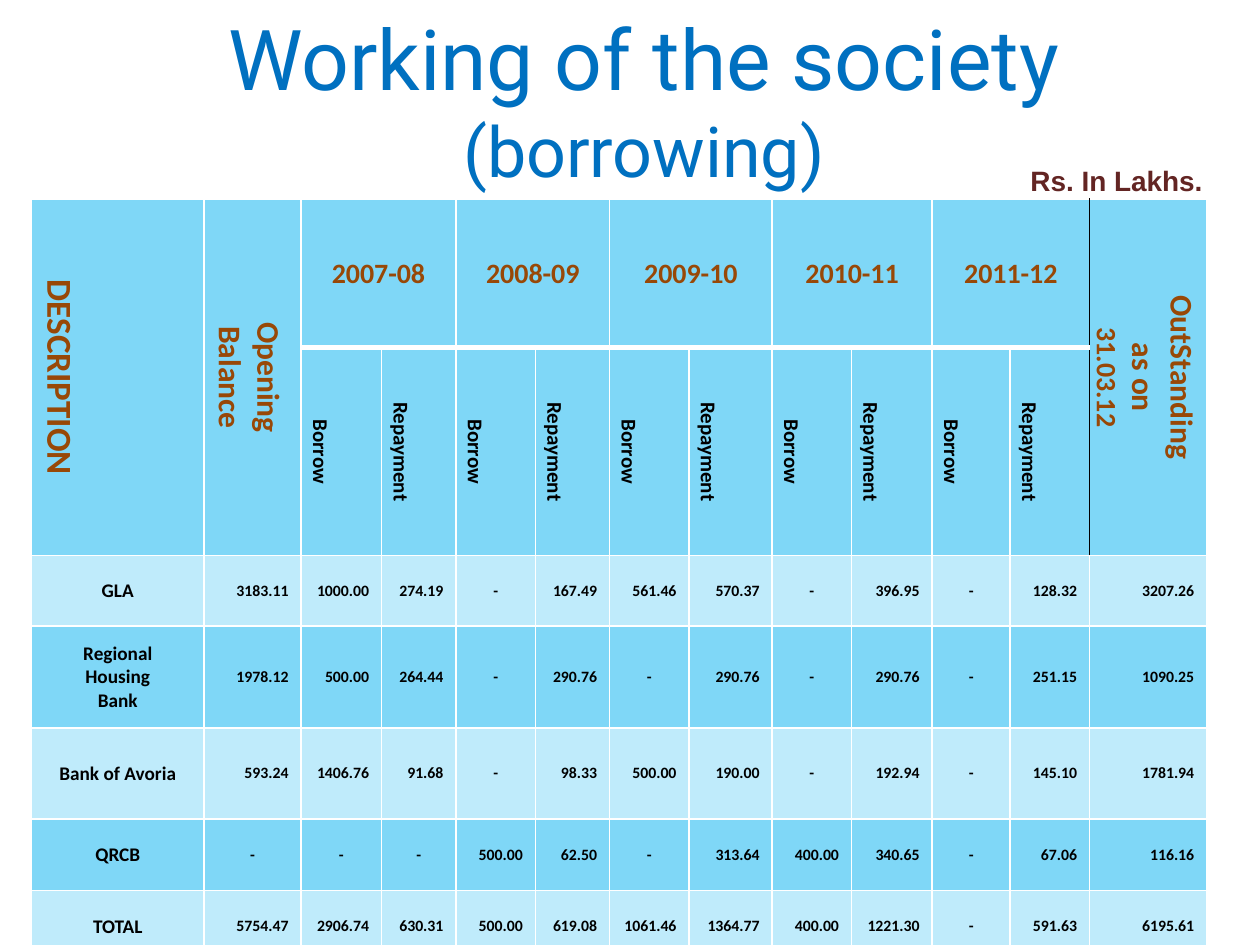
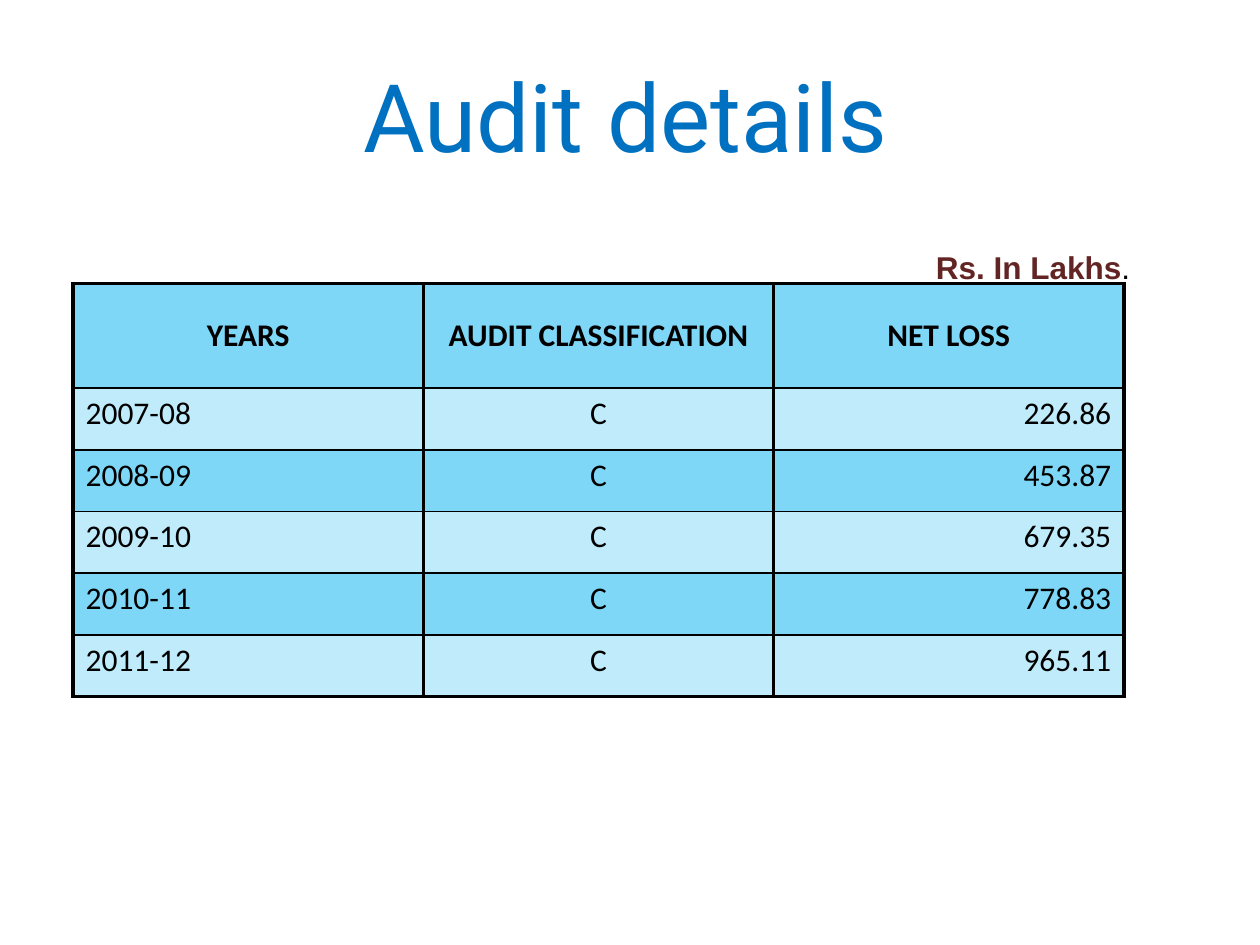
from lxml import etree
from pptx import Presentation
from pptx.dml.color import RGBColor
from pptx.enum.text import MSO_ANCHOR, PP_ALIGN
from pptx.oxml.ns import qn
from pptx.util import Inches, Pt

LEFT, CENTER, RIGHT = PP_ALIGN.LEFT, PP_ALIGN.CENTER, PP_ALIGN.RIGHT
TOP, MIDDLE = MSO_ANCHOR.TOP, MSO_ANCHOR.MIDDLE
TITLE_ONLY = 5

COLORS = {
    "title": "0070C0",
    "unit": "632523",
    "heading": "984807",
    "text": "000000",
    "band": "00B0F0",
    "white": "FFFFFF",
}
TITLE_FONT, UNIT_FONT, TABLE_FONT = "Roboto", "Arial", "Calibri"
DARK, LIGHT = 50, 25  # opacity of the band colour, percent


class Deck:
    def __init__(self):
        self.prs = Presentation()
        self.prs.slide_width, self.prs.slide_height = Inches(10), Inches(7.5)
        self.slide = None

    def add_slide(self):
        self.slide = self.prs.slides.add_slide(self.prs.slide_layouts[TITLE_ONLY])

    def style(self, font, name, size, color, bold=False):
        font.name, font.size, font.bold = name, Pt(size), bold
        font.color.rgb = RGBColor.from_string(COLORS[color])

    def set_lines(self, frame, lines, name, sizes, color, bold=False, align=CENTER):
        """Fill a text frame with one paragraph per line."""
        frame.text = "\n".join(lines)
        for paragraph, size in zip(frame.paragraphs, sizes):
            paragraph.alignment = align
            self.style(paragraph.font, name, size, color, bold)

    def place(self, shape, box):
        shape.left, shape.top, shape.width, shape.height = map(Inches, box)

    def title(self, box, lines, sizes):
        title = self.slide.shapes.title
        self.place(title, box)
        self.set_lines(title.text_frame, lines, TITLE_FONT, sizes, "title")
        title.text_frame.vertical_anchor = TOP
        title.text_frame.word_wrap = False

    def unit_note(self, box, text, size, ending=""):
        frame = self.slide.shapes.add_textbox(*map(Inches, box)).text_frame
        frame.word_wrap = False
        self.set_lines(frame, [text], UNIT_FONT, [size], "unit", True, LEFT)
        if ending:
            run = frame.paragraphs[0].add_run()
            run.text = ending
            self.style(run.font, UNIT_FONT, size, "text")

    def table(self, left, top, widths, heights):
        table = self.slide.shapes.add_table(
            len(heights), len(widths), Inches(left), Inches(top),
            Inches(sum(widths)), Inches(sum(heights))).table
        table.first_row = table.horz_banding = False
        for column, width in zip(table.columns, widths):
            column.width = Inches(width)
        for row, height in zip(table.rows, heights):
            row.height = Inches(height)
        return table

    def cell(self, cell, lines, sizes, color="text", bold=True, align=CENTER,
             anchor=MIDDLE, vertical=False):
        self.set_lines(cell.text_frame, lines, TABLE_FONT, sizes, color, bold, align)
        cell.vertical_anchor = anchor
        if vertical:
            cell._tc.get_or_add_tcPr().set("vert", "vert")

    def paint(self, cell, opacity, borders):
        """Borders are (colour, points) for left, right, top and bottom."""
        cell.fill.solid()
        cell.fill.fore_color.rgb = RGBColor.from_string(COLORS["band"])
        properties = cell._tc.get_or_add_tcPr()
        tint = properties.find(qn("a:solidFill")).find(qn("a:srgbClr"))
        etree.SubElement(tint, qn("a:alpha"), val=str(opacity * 1000))
        for index, (side, (color, points)) in enumerate(zip("LRTB", borders)):
            line = etree.Element(qn("a:ln" + side), w=str(Pt(points)))
            fill = etree.SubElement(line, qn("a:solidFill"))
            etree.SubElement(fill, qn("a:srgbClr"), val=COLORS[color])
            properties.insert(index, line)


YEARS = ["2007-08", "2008-09", "2009-10", "2010-11", "2011-12"]
deck = Deck()

# Slide 1: borrowing
BORROWINGS = [
    (["GLA"], "3183.11 1000.00 274.19 - 167.49 561.46 570.37 - 396.95 - 128.32 3207.26"),
    (["Regional", "Housing", "Bank"],
     "1978.12 500.00 264.44 - 290.76 - 290.76 - 290.76 - 251.15 1090.25"),
    (["Bank of Avoria"],
     "593.24 1406.76 91.68 - 98.33 500.00 190.00 - 192.94 - 145.10 1781.94"),
    (["QRCB"], "- - - 500.00 62.50 - 313.64 400.00 340.65 - 67.06 116.16"),
    (["TOTAL"],
     "5754.47 2906.74 630.31 500.00 619.08 1061.46 1364.77 400.00 1221.30 - 591.63 6195.61"),
]
deck.add_slide()
deck.title((0.83, 0, 8.56, 1.58), ["Working of the society", "(borrowing)"], [48, 40])
borrowing = deck.table(
    0.25, 1.58,
    [1.37, 0.77, 0.64, 0.59, 0.63, 0.59, 0.63, 0.66, 0.63, 0.64, 0.62, 0.63, 0.93],
    [1.18, 1.64, 0.56, 0.81, 0.72, 0.57, 0.57])
last = len(borrowing.columns) - 1

# Bands and grid, with a thick rule under the years
thin, thick, edge = ("white", 1), ("white", 3), ("text", 1)
for r in range(len(borrowing.rows)):
    for c in range(last + 1):
        header, in_years = r < 2, 2 <= c < last
        deck.paint(borrowing.cell(r, c), DARK if header or r % 2 else LIGHT, [
            edge if header and c == last else thin,
            edge if header and c == last - 1 else thin,
            thick if r == 1 and in_years else thin,
            thick if r == 0 and in_years else thin])

# Headings over both header rows
for c, lines, sizes in [(0, ["DESCRIPTION"], [20]),
                        (1, ["Opening", "Balance"], [18, 18]),
                        (last, ["OutStanding", "as on", "31.03.12"], [18, 18, 16])]:
    borrowing.cell(0, c).merge(borrowing.cell(1, c))
    deck.cell(borrowing.cell(0, c), lines, sizes, "heading", vertical=True)

# Each year spans a pair of columns
for i, year in enumerate(YEARS):
    c = 2 + 2 * i
    borrowing.cell(0, c).merge(borrowing.cell(0, c + 1))
    deck.cell(borrowing.cell(0, c), [year], [16], "heading")
    for offset, flow in enumerate(["Borrow", "Repayment"]):
        deck.cell(borrowing.cell(1, c + offset), [flow], [12], vertical=True)

for r, (lender, amounts) in enumerate(BORROWINGS, start=2):
    deck.cell(borrowing.cell(r, 0), lender, [11] * len(lender))
    for c, amount in enumerate(amounts.split(), start=1):
        deck.cell(borrowing.cell(r, c), [amount], [9],
                  align=CENTER if amount == "-" else RIGHT)
deck.unit_note((8.08, 1.25, 1.57, 0.37), "Rs. In Lakhs.", 16)

# Slide 2: audit
NET_LOSSES = ["226.86", "453.87", "679.35", "778.83", "965.11"]
deck.add_slide()
deck.title((2.17, 0.41, 5.59, 1.01), ["Audit details"], [54])
audit = deck.table(0.58, 2.25, [2.78] * 3, [0.83] + [0.49] * len(YEARS))
for c, heading in enumerate(["YEARS", "AUDIT CLASSIFICATION", "NET LOSS"]):
    deck.cell(audit.cell(0, c), [heading], [18])
for r, (year, loss) in enumerate(zip(YEARS, NET_LOSSES), start=1):
    for c, (text, align) in enumerate([(year, LEFT), ("C", CENTER), (loss, RIGHT)]):
        deck.cell(audit.cell(r, c), [text], [18], bold=False, align=align, anchor=TOP)

# Bands, heavy frame and columns, fine lines between rows
fine, heavy = ("text", 1), ("text", 2.25)
for r in range(len(YEARS) + 1):
    for c in range(3):
        deck.paint(audit.cell(r, c), LIGHT if r % 2 else DARK, [
            heavy, heavy, fine if r else heavy, fine if r < len(YEARS) else heavy])
deck.unit_note((7.33, 1.92, 1.74, 0.4), "Rs. In Lakhs", 18, ending=".")

deck.prs.save("out.pptx")
